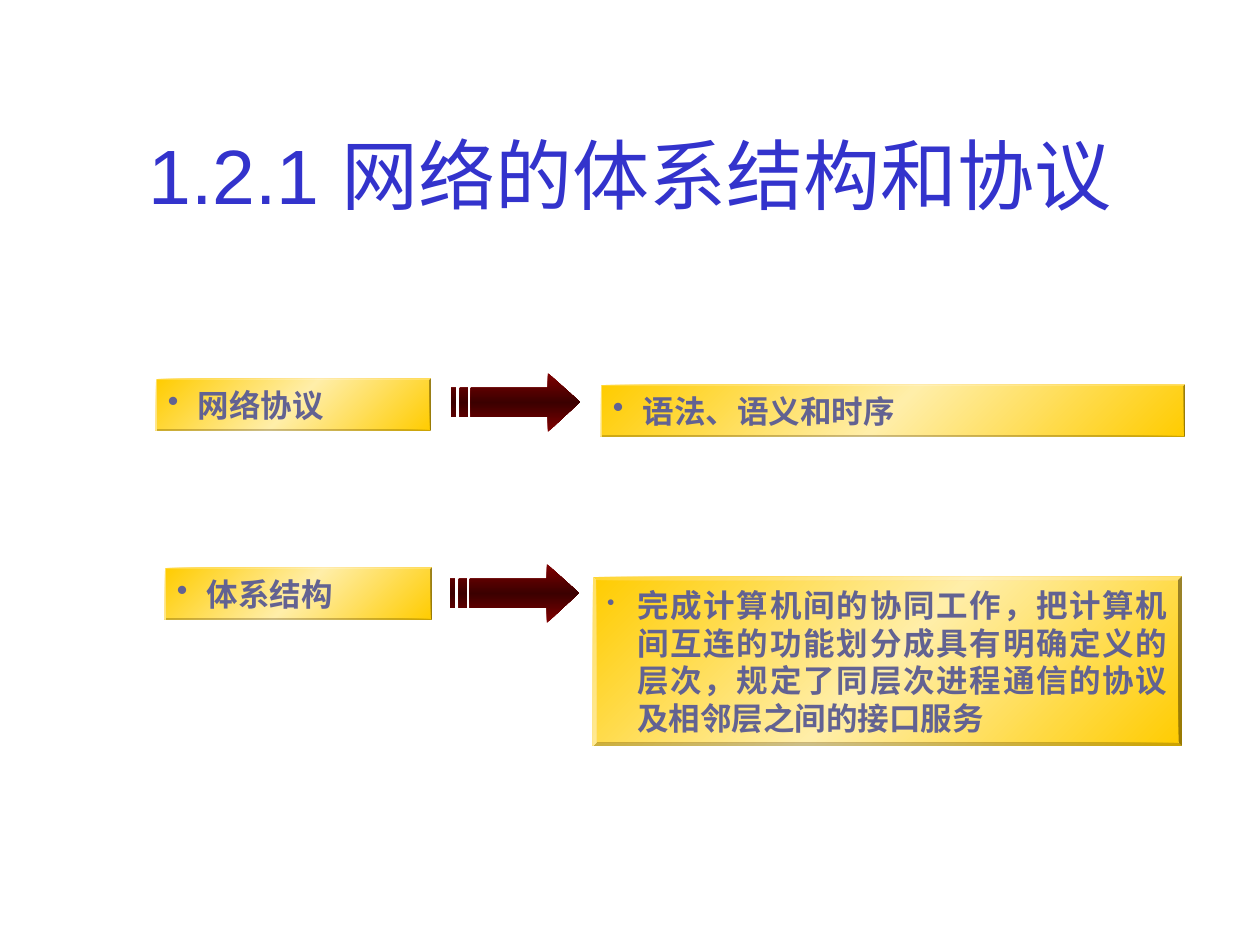
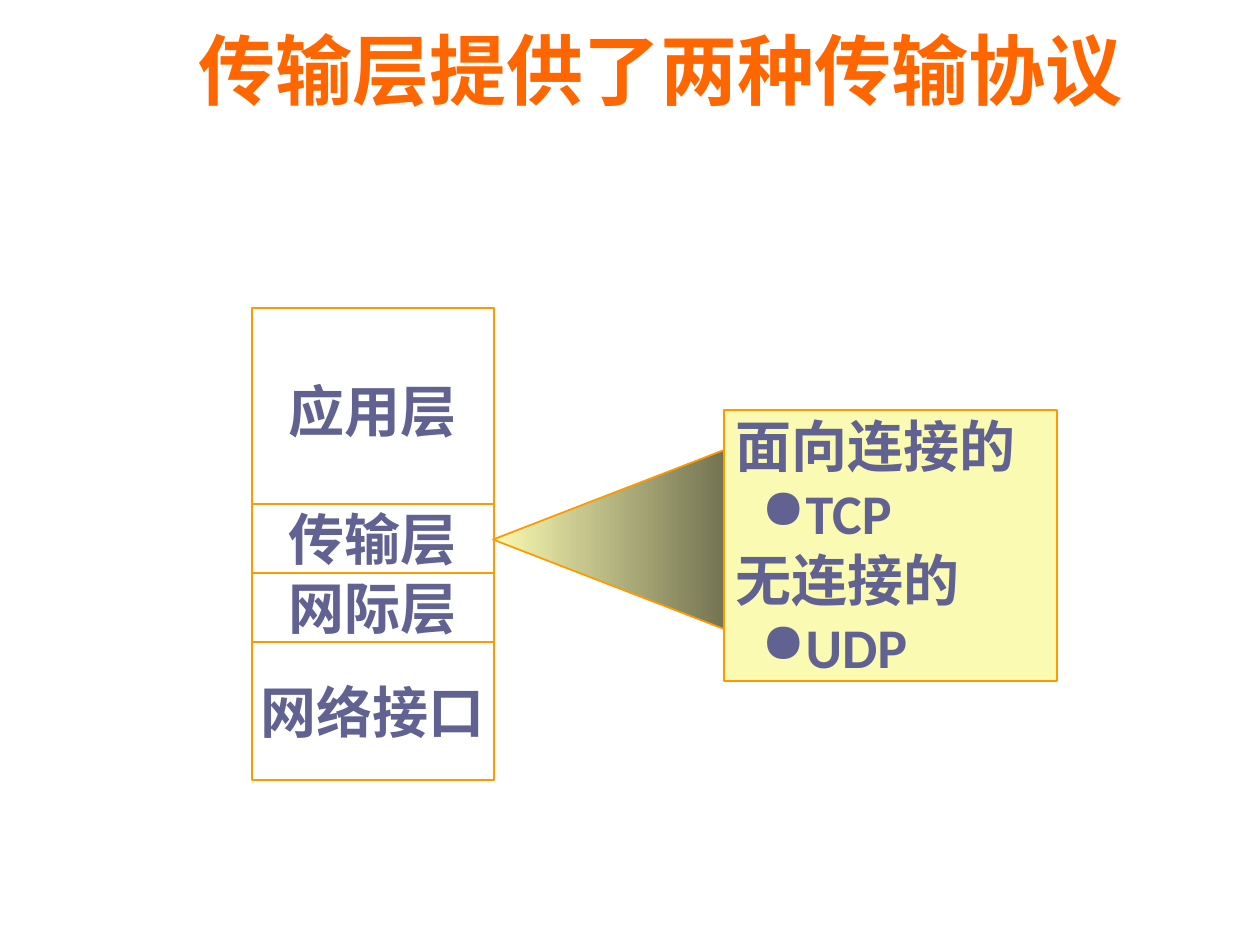
from lxml.etree import SubElement
from pptx import Presentation
from pptx.dml.color import RGBColor
from pptx.enum.shapes import MSO_SHAPE
from pptx.enum.text import MSO_ANCHOR, MSO_AUTO_SIZE, PP_ALIGN
from pptx.oxml.ns import qn
from pptx.util import Pt

PX = 7257  # EMU in one px, 126 px to the inch
INK = {
    "white": "FFFFFF", "blue": "3333CC", "text": "626292", "orange": "FF6600",
    "edge": "FF9900", "gold": "FFCC00", "cream": "FFEEA9", "maroon": "800000",
    "dark": "3B0000", "pale": "FAFAB2", "olive": "747452",
}
HEAD = {"size": Pt(44), "name": "Arial", "bold": False}
BANNER = {"size": Pt(44), "name": "Calibri", "bold": True}
NOTE = {"size": Pt(18), "name": "Times New Roman", "bold": True}
LAYER = {"size": Pt(32), "name": "Calibri", "bold": True}
INSET = {"margin_left": 11 * PX, "margin_right": 11 * PX,
         "margin_top": 6 * PX, "margin_bottom": 6 * PX}


def rgb(name):
    return RGBColor.from_string(INK[name])


def scale(box):
    return [round(n * PX) for n in box]


def apply(item, values):
    for name, value in values.items():
        setattr(item, name, value)


def bullet(para, mark, left, hang, size=100):
    """Give a paragraph a hanging bullet."""
    props = para._p.get_or_add_pPr()
    props.set("marL", str(left * PX))
    props.set("indent", str(-hang * PX))
    color = SubElement(props, qn("a:buClr"))
    SubElement(color, qn("a:srgbClr"), val=INK["text"])
    SubElement(props, qn("a:buSzPct"), val=str(size * 1000))
    SubElement(props, qn("a:buChar"), char=mark)


def write(para, text, style, color, align=PP_ALIGN.LEFT):
    para.alignment = align
    run = para.add_run()
    run.text = text
    apply(run.font, style)
    run.font.color.rgb = rgb(color)


def blend(shape, names, angle, turn=True):
    """Fill a shape with evenly spaced gradient stops."""
    shape.fill.gradient()
    grad = shape._element.spPr.find(qn("a:gradFill"))
    grad.set("rotWithShape", str(int(turn)))
    for child in list(grad):
        grad.remove(child)
    stops = SubElement(grad, qn("a:gsLst"))
    for i, name in enumerate(names):
        pos = 100000 * i // (len(names) - 1)
        stop = SubElement(stops, qn("a:gs"), pos=str(pos))
        SubElement(stop, qn("a:srgbClr"), val=INK[name])
    SubElement(grad, qn("a:lin"), ang=str(angle * 60000), scaled="0")


def block(slide, kind, box, fill=None, line=None):
    shape = slide.shapes.add_shape(kind, *scale(box))
    shape.shadow.inherit = False
    if fill:
        shape.fill.solid()
        shape.fill.fore_color.rgb = rgb(fill)
    if line:
        shape.line.color.rgb = rgb(line)
        shape.line.width = Pt(1)
    else:
        shape.line.fill.background()
    apply(shape.text_frame, {**INSET, "vertical_anchor": MSO_ANCHOR.MIDDLE})
    return shape


def title(slide, box, text, style, color):
    frame = slide.shapes.add_textbox(*scale(box)).text_frame
    apply(frame, {**INSET, "word_wrap": True,
                  "vertical_anchor": MSO_ANCHOR.MIDDLE})
    write(frame.paragraphs[0], text, style, color, PP_ALIGN.CENTER)


def plate(slide, box, text, align=PP_ALIGN.LEFT, size=100):
    """Gold bevelled plate with one bullet."""
    shape = block(slide, MSO_SHAPE.BEVEL, box)
    shape.adjustments[0] = 0.019
    blend(shape, ["gold", "cream", "gold"], 45)
    apply(shape.text_frame, {"word_wrap": True,
                             "auto_size": MSO_AUTO_SIZE.SHAPE_TO_FIT_TEXT})
    para = shape.text_frame.paragraphs[0]
    bullet(para, "•", 30, 30, size)
    write(para, text, NOTE, "text", align)


def arrow(slide, x, y):
    """Striped arrow: a head with its shaft, then two bars."""
    top, low = 15, 44
    head = [(97, 0), (97, top), (20, top), (20, low), (97, low), (97, 59), (129, 29)]
    bars = [[(a, top), (a, low), (b, low), (b, top)] for a, b in [(9, 17), (0, 5)]]
    pen = slide.shapes.build_freeform(*head[0], scale=PX)
    pen.add_line_segments(head[1:], close=True)
    for bar in bars:
        pen.move_to(*bar[0])
        pen.add_line_segments(bar[1:], close=True)
    shape = pen.convert_to_shape(x * PX, y * PX)
    shape.shadow.inherit = False
    shape.line.fill.background()
    blend(shape, ["maroon", "dark", "maroon"], 90)


def stack(slide, x, y, wide):
    """Column of protocol layers; the first reaches under the second."""
    unit = 69
    rows = [("应用层", 0, 204), ("传输层", 196, unit),
            ("网际层", 196 + unit, unit), ("网络接口", 196 + 2 * unit, 2 * unit)]
    for text, down, high in rows:
        shape = block(slide, MSO_SHAPE.RECTANGLE, (x, y + down, wide, high),
                      "white", "edge")
        shape.text_frame.word_wrap = False
        write(shape.text_frame.paragraphs[0], text, LAYER, "text",
              PP_ALIGN.CENTER)


def beam(slide, x, y, wide, high):
    """Triangle pointing left that fills the given box."""
    shift = (wide - high) / 2
    shape = block(slide, MSO_SHAPE.ISOSCELES_TRIANGLE,
                  (x + shift, y - shift, high, wide), line="edge")
    shape.rotation = 270
    blend(shape, ["pale", "olive"], 0, turn=False)


def panel(slide, box):
    """The two kinds of transport."""
    frame = block(slide, MSO_SHAPE.RECTANGLE, box, "pale", "edge").text_frame
    frame.word_wrap = True
    para = frame.paragraphs[0]
    for i, (kind, name) in enumerate([("面向连接的", "TCP"), ("无连接的", "UDP")]):
        if i:
            para = frame.add_paragraph()
        write(para, kind, LAYER, "text")
        para = frame.add_paragraph()
        bullet(para, "●", 60, 34)
        write(para, name, LAYER, "text")


def terms(slide):
    title(slide, (42, 95, 1177, 157), "1.2.1 网络的体系结构和协议", HEAD, "blue")
    plate(slide, (156, 379, 275, 52), "网络协议")
    plate(slide, (601, 385, 584, 52), "语法、语义和时序")
    plate(slide, (165, 568, 267, 52), "体系结构")
    plate(slide, (593, 577, 589, 169),
          "完成计算机间的协同工作，把计算机间互连的功能划分成具有明确定义的层次，"
          "规定了同层次进程通信的协议及相邻层之间的接口服务",
          PP_ALIGN.JUSTIFY, 70)
    arrow(slide, 451, 373)
    arrow(slide, 450, 564)


def layers(slide):
    stack(slide, 252, 308, 242)
    beam(slide, 493, 450, 231, 179)
    panel(slide, (724, 410, 333, 271))
    title(slide, (141, 16, 1040, 105), "传输层提供了两种传输协议", BANNER, "orange")


def main():
    deck = Presentation()
    apply(deck, {"slide_width": 1260 * PX, "slide_height": 945 * PX})
    for fill in (terms, layers):
        fill(deck.slides.add_slide(deck.slide_layouts[6]))
    deck.save("out.pptx")


if __name__ == "__main__":
    main()
